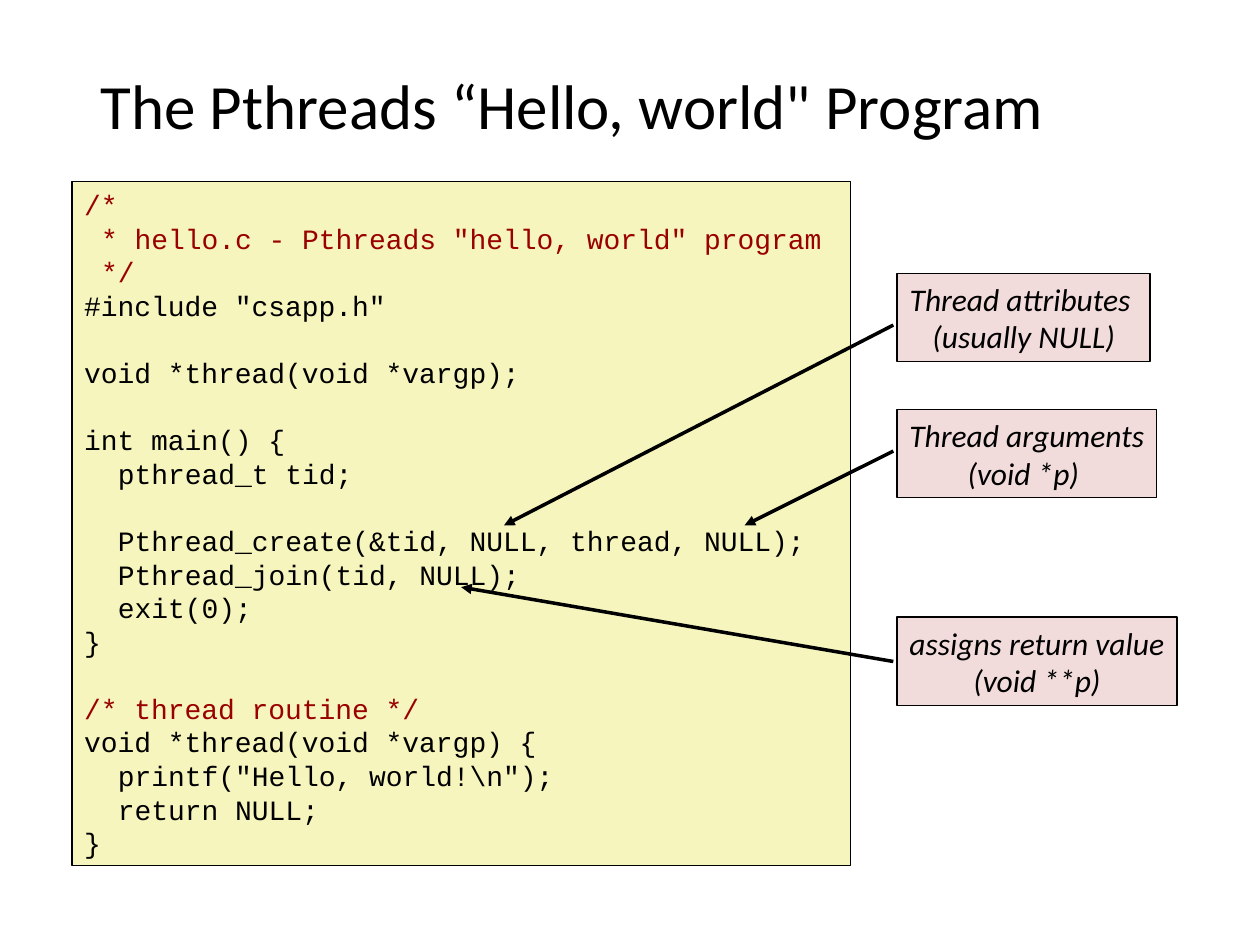
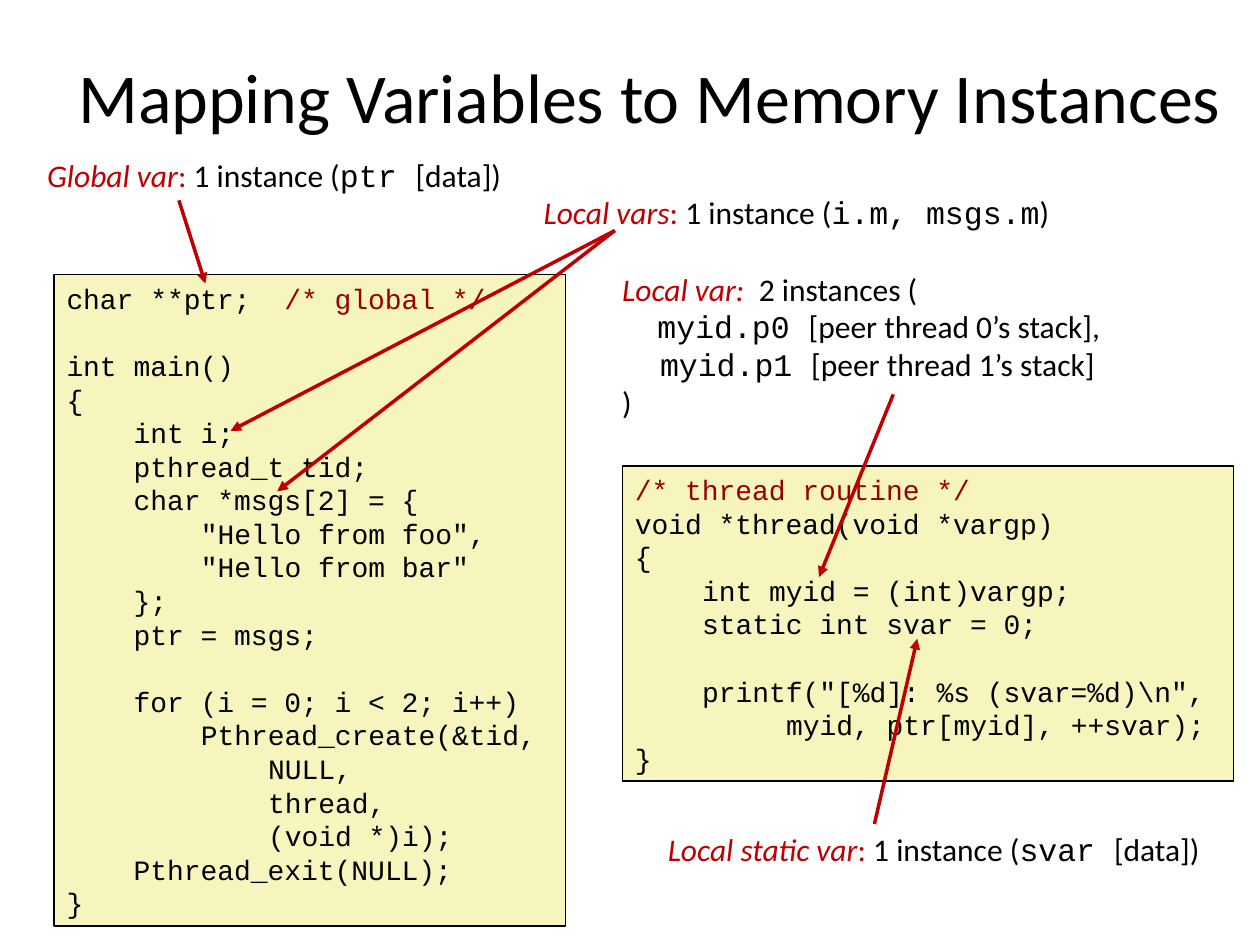
"""Build two slides on Pthreads: a first program and its variable instances."""
from lxml import etree
from pptx import Presentation
from pptx.dml.color import RGBColor
from pptx.enum.shapes import MSO_CONNECTOR, MSO_SHAPE
from pptx.enum.text import MSO_ANCHOR, PP_ALIGN
from pptx.oxml.ns import qn
from pptx.util import Inches, Pt

RECT, STRAIGHT = MSO_SHAPE.RECTANGLE, MSO_CONNECTOR.STRAIGHT
LEFT, CENTER, MIDDLE = PP_ALIGN.LEFT, PP_ALIGN.CENTER, MSO_ANCHOR.MIDDLE
BLACK = RGBColor(0x00, 0x00, 0x00)
RED = RGBColor(0xC0, 0x00, 0x00)
COMMENT = RGBColor(0x99, 0x00, 0x00)
CODE_FILL = RGBColor(0xF6, 0xF5, 0xBD)
CALLOUT_FILL = RGBColor(0xF2, 0xDC, 0xDB)
SANS, MONO = "Calibri", "Courier New"
CODE_SIZE, CODE_LEADING, CODE_ADVANCE = 16, 19.2, 9.6
NOTE_SIZE = 18

HELLO = r'''
/*
 * hello.c - Pthreads "hello, world" program
 */
#include "csapp.h"

void *thread(void *vargp);

int main() {
  pthread_t tid;

  Pthread_create(&tid, NULL, thread, NULL);
  Pthread_join(tid, NULL);
  exit(0);
}

/* thread routine */
void *thread(void *vargp) {
  printf("Hello, world!\n");
  return NULL;
}
'''

MAIN = r'''
char **ptr;  /* global */

int main()
{
    int i;
    pthread_t tid;
    char *msgs[2] = {
        "Hello from foo",
        "Hello from bar"
    };
    ptr = msgs;

    for (i = 0; i < 2; i++)
        Pthread_create(&tid,
            NULL,
            thread,
            (void *)i);
    Pthread_exit(NULL);
}
'''

THREAD = r'''
/* thread routine */
void *thread(void *vargp)
{
    int myid = (int)vargp;
    static int svar = 0;

    printf("[%d]: %s (svar=%d)\n",
         myid, ptr[myid], ++svar);
}
'''


class Deck:
    """Hold the style and the current slide."""

    def __init__(self):
        self.prs = Presentation()
        self.prs.slide_width, self.prs.slide_height = Inches(10), Inches(7.5)

    def slide(self):
        self.s = self.prs.slides.add_slide(self.prs.slide_layouts[6])

    def frame(self, sp, wrap, margin=0.05):
        tf = sp.text_frame
        tf.word_wrap = wrap
        tf.vertical_anchor = MIDDLE
        tf.margin_left = tf.margin_right = Inches(0.1)
        tf.margin_top = tf.margin_bottom = Inches(margin)
        return tf

    def paragraph(self, tf, index, align, indent=0):
        p = tf.paragraphs[0] if index == 0 else tf.add_paragraph()
        p.alignment = align
        if indent:
            p._p.get_or_add_pPr().set("marL", str(indent))
        return p

    def run(self, p, text, size, color=BLACK, font=SANS, italic=False):
        r = p.add_run()
        r.text = text
        r.font.size, r.font.name = Pt(size), font
        r.font.color.rgb, r.font.italic = color, italic

    def title(self, text, box, size):
        sp = self.s.shapes.add_textbox(*map(Inches, box))
        p = self.paragraph(self.frame(sp, True), 0, CENTER)
        self.run(p, text, size)

    def panel(self, box, fill, wrap):
        sp = self.s.shapes.add_shape(RECT, *map(Inches, box))
        sp.shadow.inherit = False
        sp.fill.solid()
        sp.fill.fore_color.rgb = fill
        sp.line.color.rgb, sp.line.width = BLACK, Pt(1)
        return self.frame(sp, wrap)

    def code(self, source, box):
        tf = self.panel(box, CODE_FILL, True)
        index, gap, in_comment = 0, 0, False
        for line in source.strip().splitlines():
            text = line.lstrip()
            if not text:
                gap += CODE_LEADING
                continue
            indent = Pt((len(line) - len(text)) * CODE_ADVANCE)
            p = self.paragraph(tf, index, LEFT, indent)
            p.line_spacing, p.space_before = Pt(CODE_LEADING), Pt(gap)
            plain, mark, rest = ("", "", text) if in_comment else text.partition("/*")
            in_comment = (in_comment or bool(mark)) and "*/" not in rest
            for part, color in ((plain, BLACK), (mark + rest, COMMENT)):
                if part:
                    self.run(p, part, CODE_SIZE, color, MONO)
            index, gap = index + 1, 0

    def callout(self, lines, top, width):
        tf = self.panel((7.12, top, width, 0.7), CALLOUT_FILL, False)
        for i, text in enumerate(lines):
            self.run(self.paragraph(tf, i, CENTER), text, NOTE_SIZE, italic=True)

    def note(self, lines, box, align=CENTER):
        sp = self.s.shapes.add_textbox(*map(Inches, box))
        tf = self.frame(sp, align == LEFT, 0)
        for i, (indent, runs) in enumerate(lines):
            p = self.paragraph(tf, i, align, Inches(indent))
            for text, *style in runs:
                self.run(p, text, NOTE_SIZE, *style)

    def instance(self, kind, name, place, box):
        self.note([(0, [(kind, RED, SANS, True), (": ", RED), ("1 instance (",),
                        (name, BLACK, MONO), (place + ")",)])], box)

    def arrow(self, start, end, color):
        c = self.s.shapes.add_connector(STRAIGHT, *map(Inches, start + end))
        c.line.color.rgb, c.line.width = color, Pt(2)
        etree.SubElement(c.line._get_or_add_ln(), qn("a:tailEnd"), type="triangle")
        etree.SubElement(c._element.spPr, qn("a:effectLst"))


deck = Deck()

deck.slide()
deck.title("The Pthreads “Hello, world\" Program", (0.39, 0.18, 8.3, 1.3), 36)
deck.code(HELLO, (0.57, 1.44, 6.18, 5.43))
for lines, top, width in (
        (("Thread attributes ", "(usually NULL)"), 2.17, 2.01),
        (("Thread arguments", "(void *p) "), 3.25, 2.06),
        (("assigns return value", "(void **p)"), 4.9, 2.22)):
    deck.callout(lines, top, width)
for y, end in ((2.58, (4, 4.17)), (3.58, (5.91, 4.17)), (5.25, (3.66, 4.66))):
    deck.arrow((7.09, y), end, BLACK)

deck.slide()
deck.title("Mapping Variables to Memory Instances", (0.25, 0.04, 9.81, 1.43), 40)
deck.code(MAIN, (0.43, 2.18, 4.06, 5.17))
deck.code(THREAD, (4.94, 3.7, 4.85, 2.5))
deck.instance("Global var", "ptr ", "[data]", (0.27, 1.24, 3.81, 0.3))
deck.instance("Local static var", "svar ", "[data]", (5.19, 6.59, 4.44, 0.3))
deck.instance("Local vars", "i.m, msgs.m", "", (4.21, 1.53, 4.22, 0.3))
deck.note([
    (0, [("Local var:  ", RED, SANS, True), ("2 instances (",)]),
    (0.28, [("myid.p0 ", BLACK, MONO), ("[peer thread 0’s stack],",)]),
    (0.3, [("myid.p1 ", BLACK, MONO), ("[peer thread 1’s stack]",)]),
    (0, [(")",)]),
], (4.84, 2.14, 4.17, 1.2), LEFT)
for start, end in (
        ((1.42, 1.59), (1.63, 2.25)),
        ((6.94, 6.54), (7.28, 5.07)),
        ((4.88, 1.83), (1.83, 3.42)),
        ((7.09, 3.13), (6.5, 4.58)),
        ((4.88, 1.83), (2.2, 3.9))):
    deck.arrow(start, end, RED)

deck.prs.save("out.pptx")
